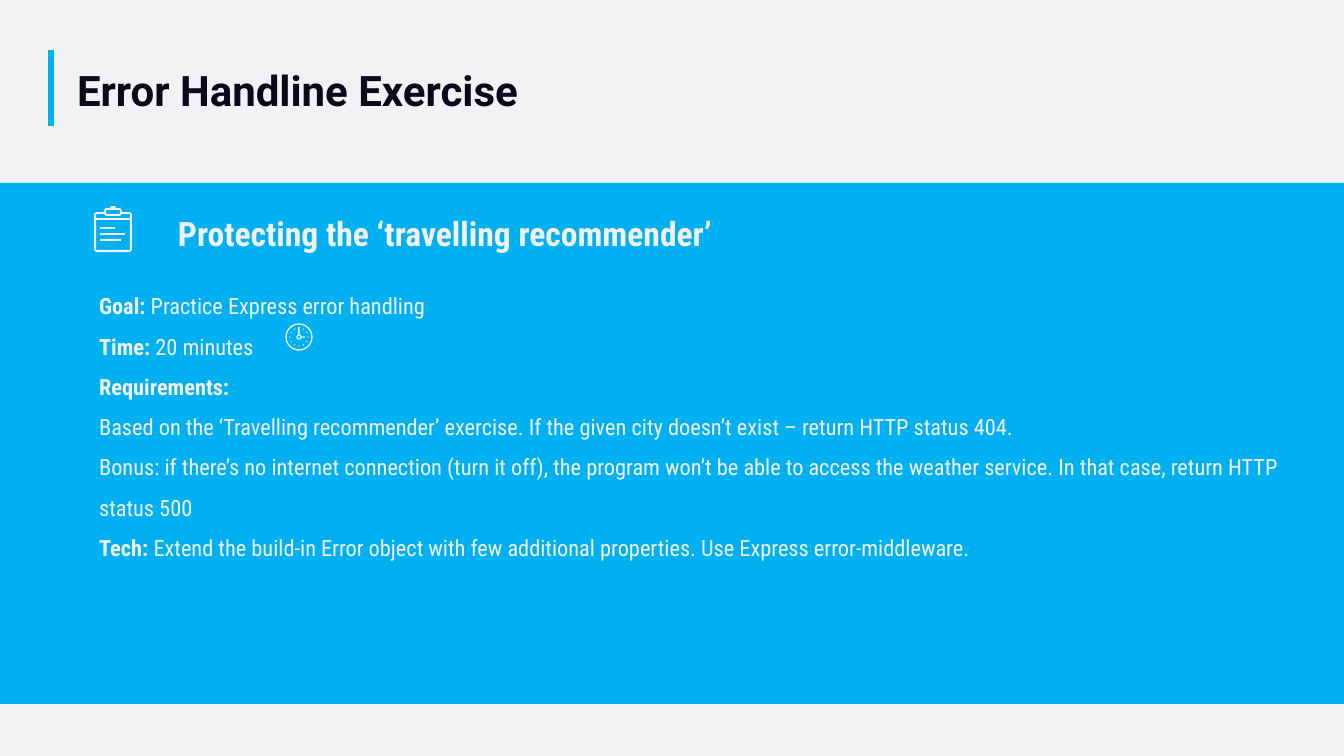
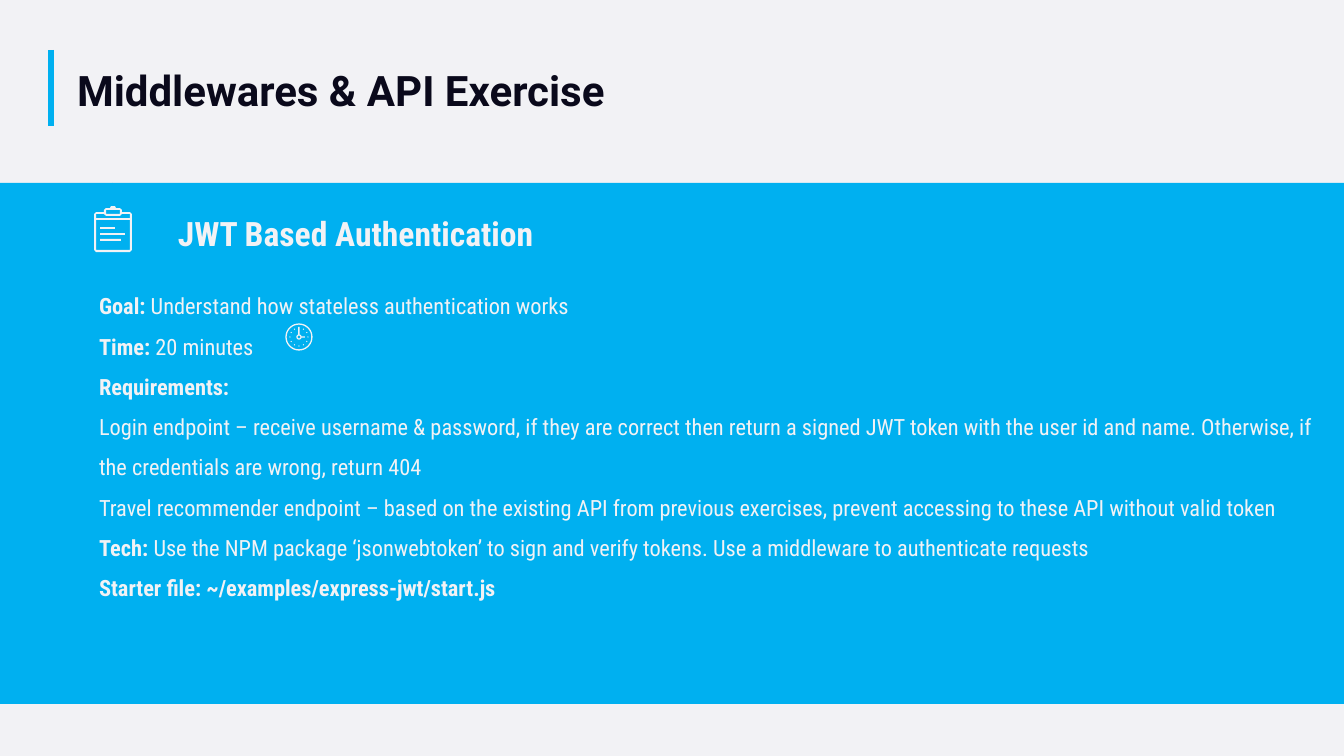
from math import cos, pi, sin

from lxml.etree import SubElement
from pptx import Presentation
from pptx.dml.color import RGBColor
from pptx.enum.shapes import MSO_CONNECTOR, MSO_SHAPE
from pptx.enum.text import MSO_ANCHOR, MSO_AUTO_SIZE, PP_ALIGN
from pptx.oxml.ns import qn
from pptx.util import Emu, Pt

WIDTH, HEIGHT = 1344, 756
PX = 12192000 // WIDTH
COLORS = {"paper": "F2F2F5", "accent": "00B0F0", "ink": "0A091B"}
RGB = {name: RGBColor.from_string(value) for name, value in COLORS.items()}
HEADING_FONT, TEXT_FONT = "Roboto", "Roboto Condensed"
FINE = 10

EXERCISES = [
    {
        "title": "Error Handline Exercise",
        "title_width": 739,
        "topic": "Protecting the ‘travelling recommender’",
        "topic_width": 739,
        "details_size": (1240, 331),
        "details": [
            ("Goal: ", "Practice Express error handling"),
            ("Time: ", "20 minutes"),
            ("Requirements:", ""),
            ("", "Based on the ‘Travelling recommender’ exercise. If the given city "
                 "doesn’t exist – return HTTP status 404."),
            ("", "Bonus: if there’s no internet connection (turn it off), the program "
                 "won’t be able to access the weather service. In that case, return "
                 "HTTP status 500"),
            ("Tech:", " Extend the build-in Error object with few additional "
                      "properties. Use Express error-middleware."),
        ],
    },
    {
        "title": "Middlewares & API Exercise",
        "title_width": 578,
        "topic": "JWT Based Authentication",
        "topic_width": 638,
        "details_size": (1256, 372),
        "details": [
            ("Goal: ", "Understand how stateless authentication works"),
            ("Time: ", "20 minutes"),
            ("Requirements:", ""),
            ("", "Login endpoint – receive username & password, if they are correct "
                 "then return a signed JWT token with the user id and name. "
                 "Otherwise, if the credentials are wrong, return 404"),
            ("", "Travel recommender endpoint – based on the existing API from "
                 "previous exercises, prevent accessing to these API without valid "
                 "token"),
            ("Tech:", " Use the NPM package ‘jsonwebtoken’ to sign and verify tokens. "
                      "Use a middleware to authenticate requests"),
            ("Starter file: ~/examples/express-jwt/start.js", ""),
        ],
    },
]

CLIPBOARD = [
    [(0, 8), (2, 6), (10, 6), (10, 4), (12, 2), (16, 2), (17, 0), (21, 0), (22, 2),
     (26, 2), (28, 4), (28, 6), (36, 6), (38, 8), (38, 44), (36, 46), (2, 46), (0, 44)],
    [(2, 8), (10, 8), (12, 10), (26, 10), (28, 8), (36, 8), (36, 12), (2, 12)],
]
for left, top, right, bottom in [(2, 14, 36, 44), (12, 4, 26, 8), (6, 21, 21, 23),
                                 (6, 27, 31, 29), (6, 33, 27, 35)]:
    CLIPBOARD.append([(left, top), (right, top), (right, bottom), (left, bottom)])


def circle(radius, x=0, y=0, steps=36):
    angles = [2 * pi * step / steps for step in range(steps)]
    return [(x + radius * cos(a), y + radius * sin(a)) for a in angles]


def draw_icon(shapes, contours, x, y):
    pen = None
    for contour in contours:
        start, *rest = [(round(px * FINE), round(py * FINE)) for px, py in contour]
        if pen is None:
            pen = shapes.build_freeform(*start, scale=PX / FINE)
        else:
            pen.move_to(*start)
        pen.add_line_segments(rest, close=True)
    icon = pen.convert_to_shape(Emu(x * PX), Emu(y * PX))
    icon.shadow.inherit = False
    icon.fill.solid()
    icon.fill.fore_color.rgb = RGB["paper"]
    icon.line.fill.background()


CLOCK = [circle(13.6), circle(12.3), circle(2.6), circle(1.4),
         [(-0.7, -10), (0.7, -10), (0.7, -2.5), (-0.7, -2.5)],
         [(2.5, -0.7), (6, -0.7), (6, 0.7), (2.5, 0.7)]]
for hour in range(1, 12):
    angle = 2 * pi * hour / 12
    CLOCK.append(circle(0.6, 9 * sin(angle), -9 * cos(angle), 8))

prs = Presentation()
prs.slide_width, prs.slide_height = Emu(WIDTH * PX), Emu(HEIGHT * PX)
layout = prs.slide_layouts[1]
background = prs.slide_master.background.fill
background.solid()
background.fore_color.rgb = RGB["paper"]

slides = [prs.slides.add_slide(layout) for _ in EXERCISES]

title_bar = slides[0].shapes.add_connector(
    MSO_CONNECTOR.STRAIGHT, Emu(51 * PX), Emu(50 * PX), Emu(51 * PX), Emu(126 * PX))
title_bar.line.color.rgb = RGB["accent"]
title_bar.line.width = Pt(5)
SubElement(title_bar.element.spPr, qn("a:effectLst"))
title_bar.element.xpath(".//p:cNvPr")[0].set("id", "20")
layout.shapes.element.append(title_bar.element)

for slide, exercise in zip(slides, EXERCISES):
    shapes = slide.shapes
    title, details = slide.placeholders
    topic = shapes.add_textbox(0, 0, 0, 0)

    band = shapes.add_shape(MSO_SHAPE.RECTANGLE, 0, Emu(183 * PX),
                            Emu(WIDTH * PX), Emu(521 * PX))
    shapes.element.insert(2, band.element)
    badge = shapes.add_group_shape()
    disc = badge.shapes.add_shape(MSO_SHAPE.OVAL, Emu(67 * PX), Emu(183 * PX),
                                  Emu(91 * PX), Emu(91 * PX))
    for panel in (band, disc):
        panel.shadow.inherit = False
        panel.fill.solid()
        panel.fill.fore_color.rgb = RGB["accent"]
        panel.line.fill.background()
    draw_icon(badge.shapes, CLIPBOARD, 94, 206)
    draw_icon(shapes, CLOCK, 299, 337)

    title.text_frame.text = exercise["title"]
    topic.text_frame.text = exercise["topic"]
    for index, (label, text) in enumerate(exercise["details"]):
        frame = details.text_frame
        paragraph = frame.paragraphs[0] if index == 0 else frame.add_paragraph()
        for words, bold in ((label, True), (text, False)):
            if words:
                run = paragraph.add_run()
                run.text = words
                run.font.bold = bold
        properties = paragraph._p.get_or_add_pPr()
        properties.set("marL", "0")
        properties.set("indent", "0")
        SubElement(properties, qn("a:buNone"))

    for box, place, font, size, color, spacing, anchor in [
        (title, (67, 19, exercise["title_width"], 102),
         HEADING_FONT, 30, "ink", 0.9, MSO_ANCHOR.BOTTOM),
        (details, (89, 274, *exercise["details_size"]),
         TEXT_FONT, 16, "paper", 1.5, MSO_ANCHOR.TOP),
        (topic, (168, 208, exercise["topic_width"], 50),
         TEXT_FONT, 24, "paper", 1.0, MSO_ANCHOR.TOP),
    ]:
        box.left, box.top, box.width, box.height = [Emu(n * PX) for n in place]
        frame = box.text_frame
        frame.word_wrap = True
        frame.auto_size = MSO_AUTO_SIZE.NONE
        frame.vertical_anchor = anchor
        for paragraph in frame.paragraphs:
            paragraph.alignment = PP_ALIGN.LEFT
            paragraph.line_spacing = spacing
            paragraph.space_before = Pt(0)
            paragraph.font.name = font
            paragraph.font.size = Pt(size)
            paragraph.font.color.rgb = RGB[color]
            if box is not details:
                paragraph.font.bold = True

prs.save("out.pptx")
